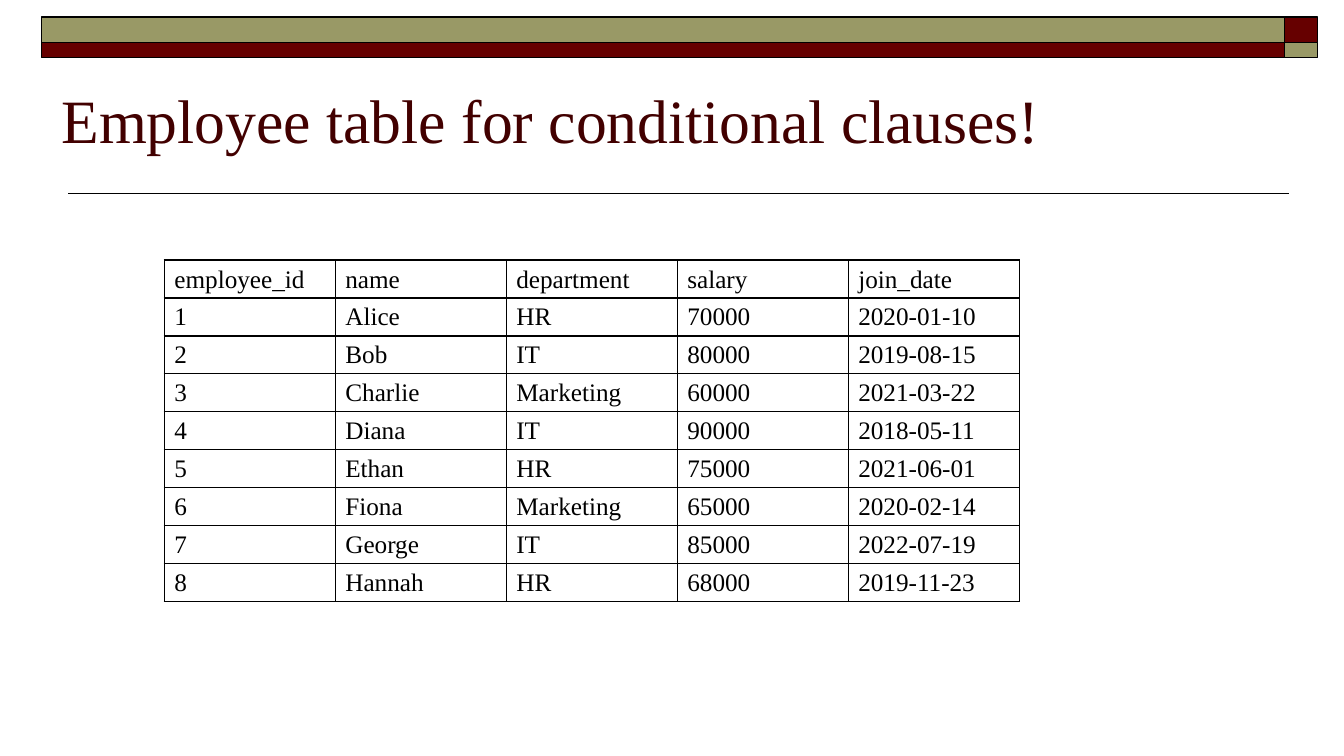
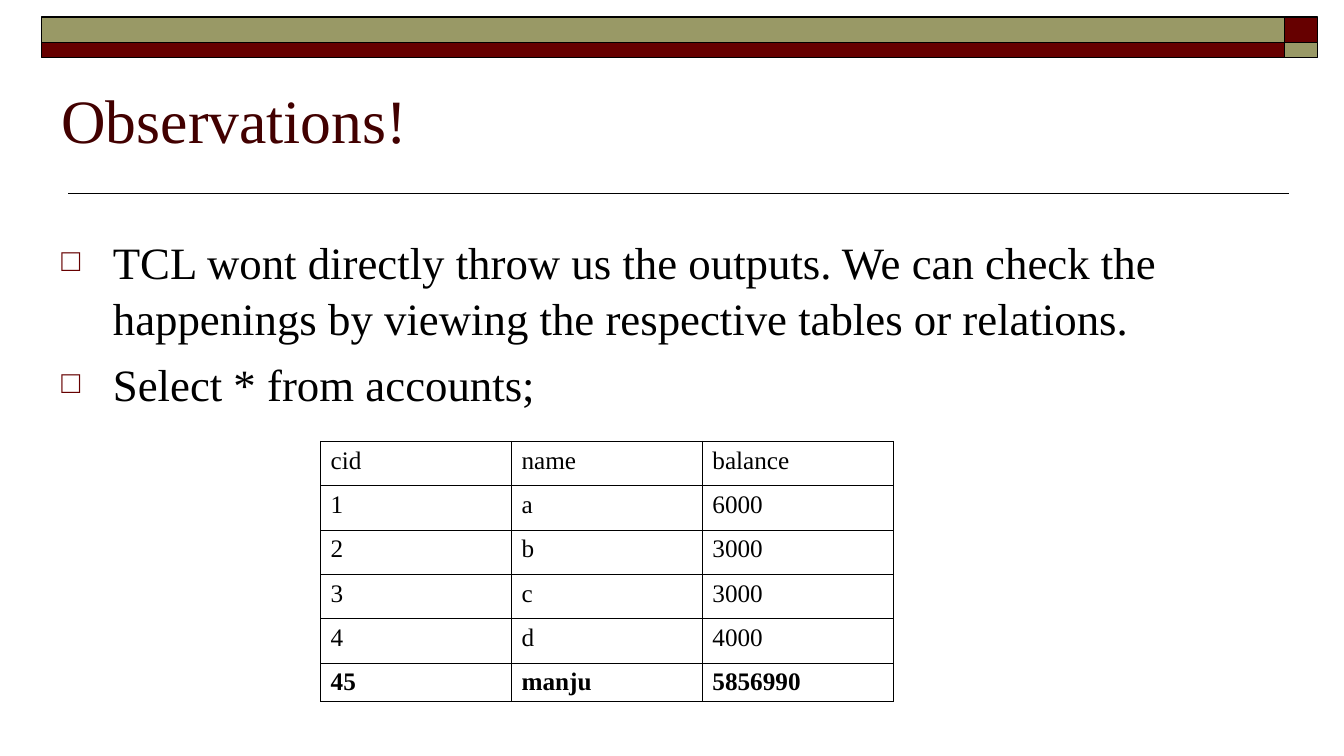
"""Build two SQL lesson slides that share a banded frame, a title style and a table style."""
import dataclasses

import lxml.etree
import pptx
import pptx.dml.color
import pptx.enum.shapes
import pptx.enum.text
import pptx.oxml
import pptx.oxml.ns
import pptx.util

Inches = pptx.util.Inches
Pt = pptx.util.Pt
Anchor = pptx.enum.text.MSO_ANCHOR
qn = pptx.oxml.ns.qn


@dataclasses.dataclass(frozen=True)
class Theme:
    font: str = "Times New Roman"
    title_color: str = "420000"
    text_color: str = "000000"
    line_color: str = "000000"
    maroon: str = "660000"
    olive: str = "999966"
    title_size: int = 44
    body_size: int = 32
    table_size: int = 18
    line_width: int = 1


THEME = Theme()

EMPLOYEES = [
    ("employee_id", "name", "department", "salary", "join_date"),
    ("1", "Alice", "HR", "70000", "2020-01-10"),
    ("2", "Bob", "IT", "80000", "2019-08-15"),
    ("3", "Charlie", "Marketing", "60000", "2021-03-22"),
    ("4", "Diana", "IT", "90000", "2018-05-11"),
    ("5", "Ethan", "HR", "75000", "2021-06-01"),
    ("6", "Fiona", "Marketing", "65000", "2020-02-14"),
    ("7", "George", "IT", "85000", "2022-07-19"),
    ("8", "Hannah", "HR", "68000", "2019-11-23"),
]

ACCOUNTS = [
    ("cid", "name", "balance"),
    ("1", "a", "6000"),
    ("2", "b", "3000"),
    ("3", "c", "3000"),
    ("4", "d", "4000"),
    ("45", "manju", "5856990"),
]

OBSERVATIONS = [
    "TCL wont directly throw us the outputs. We can check the happenings "
    "by viewing the respective tables or relations.",
    "Select * from accounts;",
]


def rgb(color):
    return pptx.dml.color.RGBColor.from_string(color)


def add_text(paragraph, text, size, color, bold=False):
    run = paragraph.add_run()
    run.text = text
    run.font.name = THEME.font
    run.font.size = Pt(size)
    run.font.color.rgb = rgb(color)
    run.font.bold = bold


def style_line(line):
    line.color.rgb = rgb(THEME.line_color)
    line.width = Pt(THEME.line_width)


def place(placeholder, left, top, width, height, anchor):
    placeholder.left, placeholder.top = Inches(left), Inches(top)
    placeholder.width, placeholder.height = Inches(width), Inches(height)
    frame = placeholder.text_frame
    frame.word_wrap = True
    frame.auto_size = pptx.enum.text.MSO_AUTO_SIZE.NONE
    frame.vertical_anchor = anchor
    return frame


def add_band(slide, left, top, width, height, color):
    band = slide.shapes.add_shape(
        pptx.enum.shapes.MSO_SHAPE.RECTANGLE,
        Inches(left), Inches(top), Inches(width), Inches(height))
    band.shadow.inherit = False
    band.fill.solid()
    band.fill.fore_color.rgb = rgb(color)
    style_line(band.line)


def add_frame(slide):
    columns = [(0.41, 12.33), (12.74, 0.33)]
    rows = [(0.17, 0.25), (0.42, 0.15)]
    colors = [THEME.olive, THEME.maroon]
    for row, (top, height) in enumerate(rows):
        for column, (left, width) in enumerate(columns):
            add_band(slide, left, top, width, height, colors[(row + column) % 2])
    rule = slide.shapes.add_connector(
        pptx.enum.shapes.MSO_CONNECTOR.STRAIGHT,
        Inches(12.78), Inches(1.92), Inches(0.67), Inches(1.92))
    style_line(rule.line)
    lxml.etree.SubElement(rule._element.spPr, qn("a:effectLst"))


def add_slide(deck, layout_name, title):
    slide = deck.slides.add_slide(deck.slide_layouts.get_by_name(layout_name))
    add_frame(slide)
    heading = place(slide.shapes.title, 0.51, 0.35, 12, 1.25, Anchor.BOTTOM).paragraphs[0]
    heading.alignment = pptx.enum.text.PP_ALIGN.LEFT
    add_text(heading, title, THEME.title_size, THEME.title_color)
    return slide


def add_bullet(paragraph):
    properties = paragraph._p.get_or_add_pPr()
    indent = Inches(0.51)
    properties.set("marL", str(indent))
    properties.set("indent", str(-indent))
    color = lxml.etree.SubElement(properties, qn("a:buClr"))
    lxml.etree.SubElement(color, qn("a:srgbClr"), val=THEME.maroon)
    lxml.etree.SubElement(properties, qn("a:buSzPct"), val="70000")
    lxml.etree.SubElement(properties, qn("a:buFont"), typeface=THEME.font)
    lxml.etree.SubElement(properties, qn("a:buChar"), char="□")


def add_bullets(slide, items):
    frame = place(slide.placeholders[1], 0.51, 2.25, 12, 4.57, Anchor.TOP)
    for index, item in enumerate(items):
        paragraph = frame.add_paragraph() if index else frame.paragraphs[0]
        add_bullet(paragraph)
        paragraph.line_spacing = 1.05
        paragraph.space_before = Pt(0.2 * THEME.body_size if index else 0)
        add_text(paragraph, item, THEME.body_size, THEME.text_color)


def border_cell(cell):
    properties = cell._tc.get_or_add_tcPr()
    for side in ("lnL", "lnR", "lnT", "lnB"):
        edge = lxml.etree.SubElement(
            properties, qn(f"a:{side}"), w=str(Pt(THEME.line_width)))
        fill = lxml.etree.SubElement(edge, qn("a:solidFill"))
        lxml.etree.SubElement(fill, qn("a:srgbClr"), val=THEME.line_color)


def add_grid(slide, records, left, top, width, row_heights, anchors, margin, bold_rows=()):
    column_count = len(records[0])
    grid = slide.shapes.add_table(
        len(records), column_count, Inches(left), Inches(top),
        Inches(width), Inches(sum(row_heights))).table
    grid.first_row = grid.horz_banding = False
    for column in grid.columns:
        column.width = Inches(width / column_count)
    for row, record in enumerate(records):
        grid.rows[row].height = Inches(row_heights[row])
        for column, value in enumerate(record):
            cell = grid.cell(row, column)
            border_cell(cell)
            cell.fill.background()
            cell.margin_top = cell.margin_bottom = Inches(margin)
            cell.vertical_anchor = anchors[row]
            add_text(cell.text_frame.paragraphs[0], value, THEME.table_size,
                     THEME.text_color, bold=row in bold_rows)


def main():
    deck = pptx.Presentation()
    deck.slide_width, deck.slide_height = Inches(13.33), Inches(7.5)

    employees = add_slide(deck, "Title Only", "Employee table for conditional clauses!")
    staff_count = len(EMPLOYEES) - 1
    add_grid(employees, EMPLOYEES, 1.63, 2.58, 8.48, [3.39 / 9] * len(EMPLOYEES),
             [Anchor.BOTTOM] + [Anchor.MIDDLE] * staff_count, margin=0.04)

    observations = add_slide(deck, "Title and Content", "Observations!")
    add_bullets(observations, OBSERVATIONS)
    last = len(ACCOUNTS) - 1
    add_grid(observations, ACCOUNTS, 3.18, 4.38, 5.68, [0.44] * last + [0.38],
             [Anchor.TOP] * len(ACCOUNTS), margin=0.05, bold_rows=(last,))

    deck.save("out.pptx")


if __name__ == "__main__":
    main()
